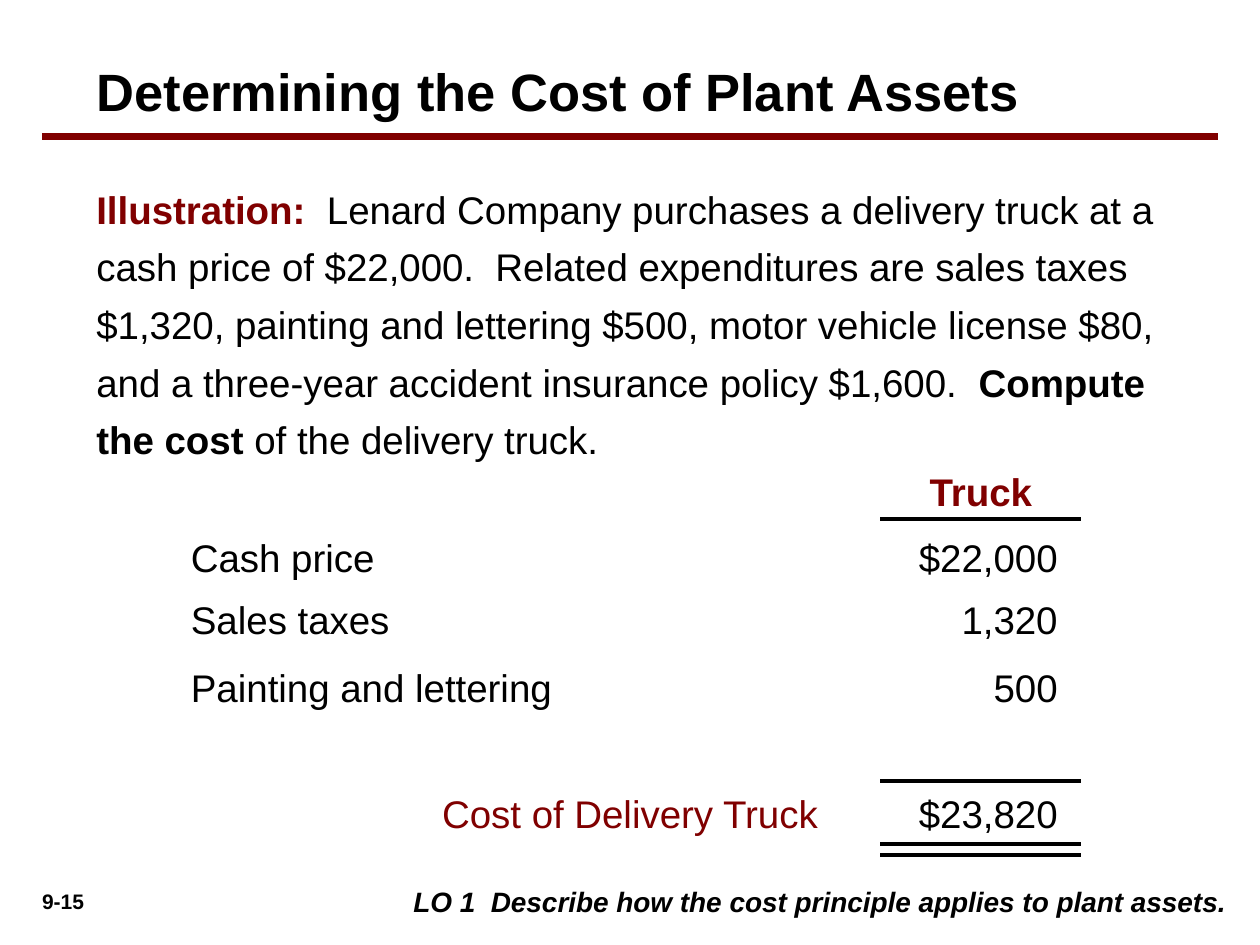
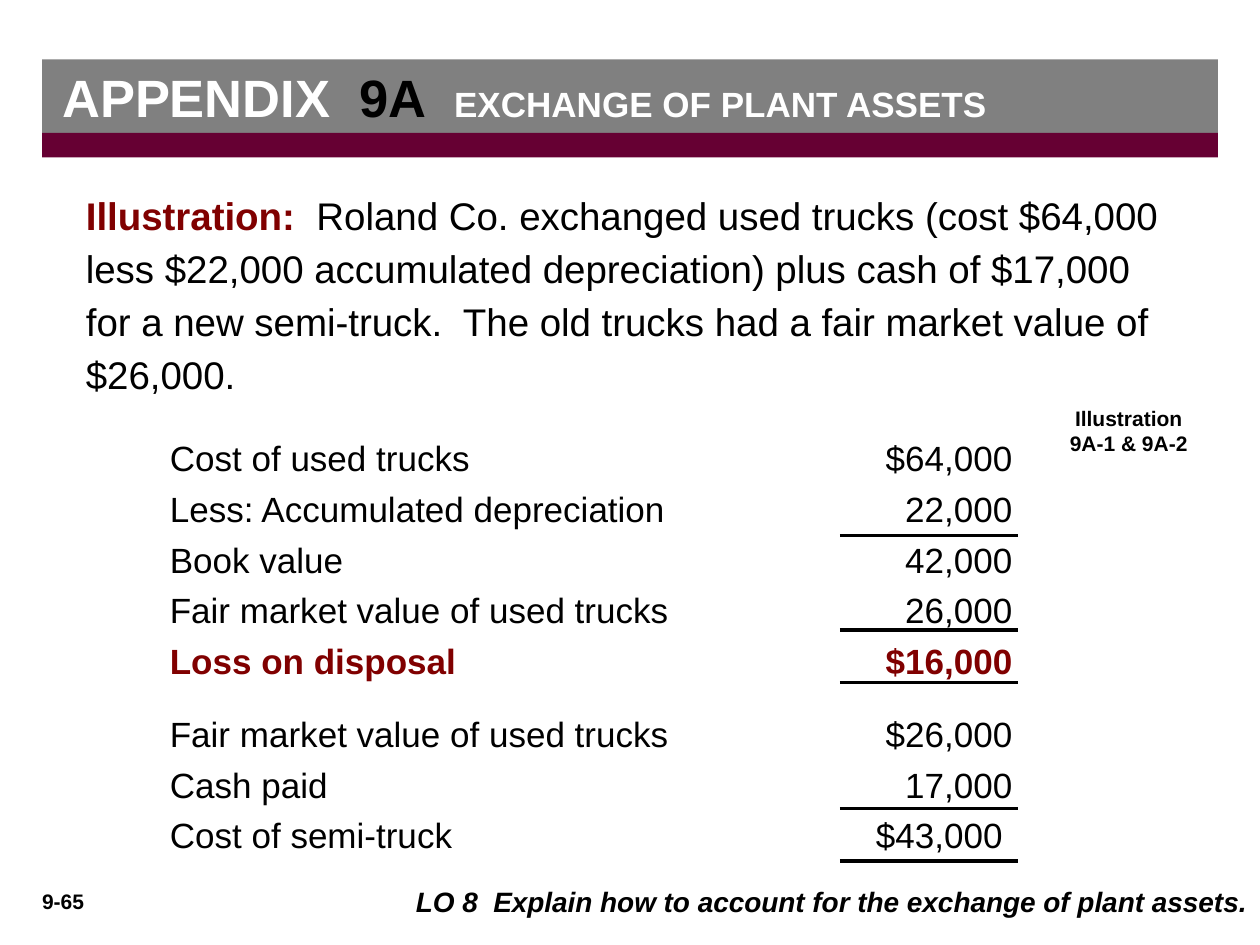
import pptx
import pptx.dml.color
import pptx.enum.shapes
import pptx.enum.text
import pptx.util
from lxml import etree

Pt = pptx.util.Pt
ALIGN = pptx.enum.text.PP_ALIGN
ANCHOR = pptx.enum.text.MSO_ANCHOR
SHAPE = pptx.enum.shapes.MSO_SHAPE
LINE = pptx.enum.shapes.MSO_CONNECTOR.STRAIGHT
NS = "{http://schemas.openxmlformats.org/drawingml/2006/main}"
HUES = {"ink": "000000", "red": "800000", "wine": "660033", "gray": "808080", "white": "FFFFFF"}


def tint(name):
    return pptx.dml.color.RGBColor.from_string(HUES[name])


class Deck:
    font = "Arial"

    def __init__(self):
        self.file = pptx.Presentation()
        self.file.slide_width, self.file.slide_height = Pt(720), Pt(540)
        self.slide = None

    def page(self, num, goal, left, width):
        self.slide = self.file.slides.add_slide(self.file.slide_layouts[5])
        self.text((6, 504, 60, 21.5), num, 12, bold=True, align=ALIGN.CENTER, before=7.5)
        self.text((left, 502, width, 26.5), goal, 16, bold=True, slant=True,
                  align=ALIGN.RIGHT, before=10)

    def style(self, para, runs, size, hue="ink", bold=False, slant=False,
              align=ALIGN.LEFT, before=0, lead=1.0, tab=None):
        para.alignment, para.line_spacing, para.space_before = align, lead, Pt(before)
        if tab:
            stops = etree.SubElement(para._p.get_or_add_pPr(), NS + "tabLst")
            etree.SubElement(stops, NS + "tab", pos=str(Pt(tab)), algn="r")
        font = para.font
        font.name, font.size, font.bold, font.italic = self.font, Pt(size), bold, slant
        font.color.rgb = tint(hue)
        for part in [(runs, {})] if isinstance(runs, str) else runs:
            run = para.add_run()
            run.text = part[0]
            for key, value in part[1].items():
                if key == "hue":
                    run.font.color.rgb = tint(value)
                else:
                    setattr(run.font, key, value)

    def title(self, box, runs, size, anchor, pad=7.2, fill=None, **look):
        shape = self.slide.shapes.title
        shape.left, shape.top, shape.width, shape.height = map(Pt, box)
        if fill:
            shape.fill.solid()
            shape.fill.fore_color.rgb = tint(fill)
        frame = shape.text_frame
        frame.auto_size = pptx.enum.text.MSO_AUTO_SIZE.NONE
        frame.vertical_anchor, frame.margin_left = anchor, Pt(pad)
        self.style(frame.paragraphs[0], runs, size, bold=True, **look)

    def frame(self, box):
        frame = self.slide.shapes.add_textbox(*map(Pt, box)).text_frame
        frame.word_wrap = True
        return frame

    def text(self, box, runs, size, **look):
        self.style(self.frame(box).paragraphs[0], runs, size, **look)

    def ledger(self, box, rows, size, tab):
        frame = self.frame(box)
        for i, (label, value, look) in enumerate(rows):
            para = frame.add_paragraph() if i else frame.paragraphs[0]
            self.style(para, f"{label}\t{value}", size, tab=tab, **{"before": 5, **look})

    def rule(self, left, right, top, hue="ink", weight=2.25):
        line = self.slide.shapes.add_connector(LINE, Pt(left), Pt(top), Pt(right), Pt(top))
        line.line.color.rgb, line.line.width = tint(hue), Pt(weight)
        etree.SubElement(line._element.spPr, NS + "effectLst")

    def band(self, box, hue):
        shape = self.slide.shapes.add_shape(SHAPE.RECTANGLE, *map(Pt, box))
        shape.shadow.inherit = False
        shape.fill.solid()
        shape.fill.fore_color.rgb = tint(hue)
        shape.line.fill.background()


LEAD = ("Illustration:", {"hue": "red", "bold": True})


def cost(deck):
    deck.page("9-15", "LO 1  Describe how the cost principle applies to plant assets.", 96, 612)
    deck.title((48, 30, 654, 44), "Determining the Cost of Plant Assets", 30, ANCHOR.TOP)
    deck.rule(24, 696, 78, "red", 4.5)
    deck.text((48, 96, 648, 172), [
        LEAD,
        ("  Lenard Company purchases a delivery truck at a cash price of $22,000.  "
         "Related expenditures are sales taxes $1,320, painting and lettering $500, "
         "motor vehicle license $80, and a three-year accident insurance policy $1,600.  ", {}),
        ("Compute the cost", {"bold": True}),
        (" of the delivery truck.", {}),
    ], 22, before=13.8, lead=1.25)
    deck.text((497.5, 264, 126, 30), "Truck", 22, hue="red", bold=True,
              align=ALIGN.CENTER, before=5.5)
    row = {"before": 6.9, "lead": 1.05}
    items = [("Cash price", "$22,000", 300.5), ("Sales taxes", "1,320", 335.5),
             ("Painting and lettering", "500", 374.5)]
    for label, value, top in items:
        deck.text((102, top, 372, 35), label, 22, **row)
        deck.text((492, top, 119.5, 35), value, 22, align=ALIGN.RIGHT, **row)
    deck.text((210, 446.5, 264.5, 35), "Cost of Delivery Truck", 22, hue="red",
              align=ALIGN.RIGHT, **row)
    deck.text((497.5, 446.5, 114, 35), "$23,820", 22, align=ALIGN.RIGHT, **row)
    for top in (296.5, 446.5, 482.5, 488.5):
        deck.rule(503, 618, top)


def swap(deck):
    deck.page("9-65", "LO 8  Explain how to account for the exchange of plant assets.", 162, 558)
    deck.title((24, 34, 672, 42), [
        ("APPENDIX  ", {}),
        ("9A  ", {"hue": "ink"}),
        ("EXCHANGE OF PLANT ASSETS", {"size": Pt(20)}),
    ], 30, ANCHOR.MIDDLE, pad=11.5, fill="gray", hue="white")
    deck.band((24, 76, 672, 14), "wine")
    deck.text((42, 102, 642, 129), [
        LEAD,
        ("  Roland Co. exchanged used trucks (cost $64,000 less $22,000 accumulated "
         "depreciation) plus cash of $17,000 for a new semi-truck.  The old trucks had "
         "a fair market value of $26,000.", {}),
    ], 22, lead=1.15)
    deck.text((594, 228, 102, 36), "Illustration 9A-1 & 9A-2", 12, bold=True,
              align=ALIGN.CENTER, before=7.5)
    deck.ledger((90, 246, 570, 247), [
        ("Cost of used trucks", "$64,000", {}),
        ("Less: Accumulated depreciation", "22,000", {}),
        ("Book value", "42,000", {}),
        ("Fair market value of used trucks", "26,000", {}),
        ("Loss on disposal", "$16,000", {"hue": "red", "bold": True}),
        ("Fair market value of used trucks", "$26,000", {"before": 17.5}),
        ("Cash paid", "17,000", {}),
        ("Cost of semi-truck", "$43,000 ", {}),
    ], 20, 481.5)
    for top in (306, 360, 390, 462, 492):
        deck.rule(480, 582, top)


def main():
    deck = Deck()
    cost(deck)
    swap(deck)
    deck.file.save("out.pptx")


if __name__ == "__main__":
    main()
